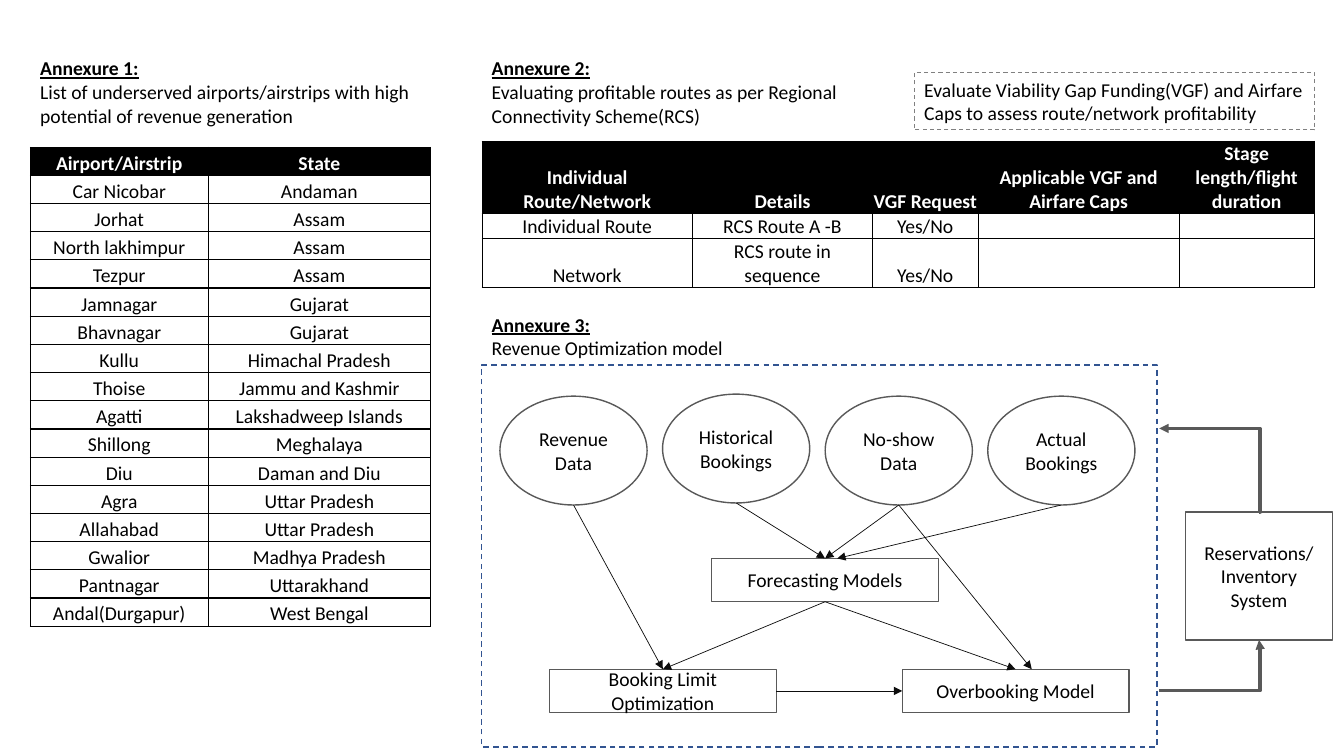
"""Build the annexure slide: airport list, route evaluation and revenue optimization model."""
from lxml import etree
from pptx import Presentation
from pptx.dml.color import RGBColor
from pptx.enum.dml import MSO_LINE
from pptx.enum.shapes import MSO_CONNECTOR, MSO_SHAPE
from pptx.enum.text import MSO_ANCHOR, MSO_AUTO_SIZE, PP_ALIGN
from pptx.oxml.ns import qn
from pptx.util import Inches, Pt

RECT, OVAL = MSO_SHAPE.RECTANGLE, MSO_SHAPE.OVAL
STRAIGHT, ELBOW = MSO_CONNECTOR.STRAIGHT, MSO_CONNECTOR.ELBOW
LEFT, CENTER = PP_ALIGN.LEFT, PP_ALIGN.CENTER
TOP, MIDDLE, BOTTOM = MSO_ANCHOR.TOP, MSO_ANCHOR.MIDDLE, MSO_ANCHOR.BOTTOM
FIT, DASH = MSO_AUTO_SIZE.SHAPE_TO_FIT_TEXT, MSO_LINE.DASH
FONT, SIZE = "Calibri", 14
BLACK, WHITE, GRAY, NOTE_GRAY = "000000", "FFFFFF", "595959", "808080"
BLUE, ARROW = "325491", "0D0D0D"
WIDTH, HEIGHT = Inches(13.333), Inches(7.5)

# Places and sizes are percentages of the slide's width and height.
AIRPORT_X, MODEL_X = 2.25, 35.85
HEADINGS = [
    ("Annexure 1:", "List of underserved airports/airstrips with high potential of revenue generation",
     (AIRPORT_X, 6.8, 29.78, 10.8)),
    ("Annexure 2:", "Evaluating profitable routes as per Regional Connectivity Scheme(RCS)",
     (MODEL_X, 6.8, 32.25, 10.8)),
    ("Annexure 3:", "Revenue Optimization model", (MODEL_X, 40.67, 28.65, 7.6)),
]
NOTE = "Evaluate Viability Gap Funding(VGF) and Airfare Caps to assess route/network profitability"
AIRPORTS = [
    ("Airport/Airstrip", "State"),
    ("Car Nicobar", "Andaman"),
    ("Jorhat", "Assam"),
    ("North lakhimpur", "Assam"),
    ("Tezpur", "Assam"),
    ("Jamnagar", "Gujarat"),
    ("Bhavnagar", "Gujarat"),
    ("Kullu", "Himachal Pradesh"),
    ("Thoise", "Jammu and Kashmir"),
    ("Agatti", "Lakshadweep Islands"),
    ("Shillong", "Meghalaya"),
    ("Diu", "Daman and Diu"),
    ("Agra", "Uttar Pradesh"),
    ("Allahabad", "Uttar Pradesh"),
    ("Gwalior", "Madhya Pradesh"),
    ("Pantnagar", "Uttarakhand"),
    ("Andal(Durgapur)", "West Bengal"),
]
ROUTES = [
    ("Individual Route/Network", "Details", "VGF Request",
     "Applicable VGF and Airfare Caps", "Stage length/flight duration"),
    ("Individual Route", "RCS Route A -B", "Yes/No", "", ""),
    ("Network", "RCS route in sequence", "Yes/No", "", ""),
]
SOURCES = [("Revenue Data", 52.4), ("Historical Bookings", 52.13),
           ("No-show Data", 52.4), ("Actual Bookings", 52.4)]
SOURCE_X, SOURCE_PITCH, SOURCE_SIZE = 37.2, 12.1, (10.95, 14.4)
MODELS = [("Forecasting Models", 52.95, 73.87),
          ("Booking Limit Optimization", 40.88, 88.53),
          ("Overbooking Model", 67.13, 88.53)]
MODEL_SIZE = (16.88, 5.73)
RESERVATIONS = "Reservations/ Inventory System"
FLOWS = [
    ("No-show Data", "Overbooking Model", 1.2),
    ("Historical Bookings", "Forecasting Models", 0),
    ("No-show Data", "Forecasting Models", 0),
    ("Actual Bookings", "Forecasting Models", 0.9),
    ("Revenue Data", "Booking Limit Optimization", 0),
    ("Forecasting Models", "Booking Limit Optimization", 0),
    ("Forecasting Models", "Overbooking Model", 0),
]
LOOP_X, RETURN_Y = 86.25, 56.67


def across(share):
    return round(WIDTH * share / 100)


def down(share):
    return round(HEIGHT * share / 100)


def place(x, y, w, h):
    return across(x), down(y), across(w), down(h)


def rgb(color):
    return RGBColor.from_string(color)


def write(paragraph, words, color=BLACK, bold=False, underline=False, align=LEFT):
    paragraph.alignment = align
    run = paragraph.add_run()
    run.text = words
    run.font.name, run.font.size = FONT, Pt(SIZE)
    run.font.bold, run.font.underline = bold, underline
    run.font.color.rgb = rgb(color)


def add_heading(title, detail, box):
    frame = slide.shapes.add_textbox(*place(*box)).text_frame
    frame.word_wrap, frame.auto_size = True, FIT
    write(frame.paragraphs[0], title, bold=True, underline=True)
    write(frame.add_paragraph(), detail)


def add_box(kind, box, words="", color=GRAY, weight=1, dash=None, align=CENTER, anchor=MIDDLE):
    shape = slide.shapes.add_shape(kind, *place(*box))
    shape.shadow.inherit = False
    shape.fill.background()
    shape.line.color.rgb, shape.line.width = rgb(color), Pt(weight)
    if dash:
        shape.line.dash_style = dash
    shape.text_frame.word_wrap = True
    shape.text_frame.vertical_anchor = anchor
    if words:
        write(shape.text_frame.paragraphs[0], words, align=align)
    return shape


def add_border(cell, position, side, weight):
    line = etree.Element(qn("a:ln" + side), w=str(Pt(weight)))
    fill = etree.SubElement(line, qn("a:solidFill"))
    etree.SubElement(fill, qn("a:srgbClr"), val=BLACK)
    cell._tc.get_or_add_tcPr().insert(position, line)


def add_grid(rows, x, y, columns, row_height):
    table = slide.shapes.add_table(
        len(rows), len(columns), *place(x, y, sum(columns), row_height * len(rows))).table
    table.first_row = table.horz_banding = False
    for column, share in zip(table.columns, columns):
        column.width = across(share)
    for r, row in enumerate(rows):
        table.rows[r].height = down(row_height)
        for c, words in enumerate(row):
            cell = table.cell(r, c)
            cell.margin_left = cell.margin_right = cell.margin_top = Inches(0.01)
            cell.margin_bottom = 0
            cell.vertical_anchor = BOTTOM
            cell.fill.solid()
            cell.fill.fore_color.rgb = rgb(WHITE if r else BLACK)
            paragraph = cell.text_frame.paragraphs[0]
            if words:
                write(paragraph, words, WHITE if r == 0 else BLACK, bold=r == 0, align=CENTER)
            else:
                etree.SubElement(paragraph._p, qn("a:endParaRPr"), sz=str(SIZE * 100))
            outer = (c == 0, c == len(columns) - 1, r == 0, r == len(rows) - 1)
            for position, (side, edge) in enumerate(zip("LRTB", outer)):
                add_border(cell, position, side, 0.5 if edge else 1)


def add_arrow(kind, start, end, color=ARROW, weight=0.5, tip="tailEnd"):
    arrow = slide.shapes.add_connector(kind, *start, *end)
    arrow.line.color.rgb, arrow.line.width = rgb(color), Pt(weight)
    etree.SubElement(arrow.line._get_or_add_ln(), qn("a:" + tip), type="triangle")
    etree.SubElement(arrow.element.spPr, qn("a:effectLst"))
    return arrow


def add_loop(y, end, tip):
    arrow = add_arrow(ELBOW, (across(LOOP_X), y), end, GRAY, 2.25, tip)
    guides = arrow.element.spPr.find(qn("a:prstGeom")).find(qn("a:avLst"))
    etree.SubElement(guides, qn("a:gd"), name="adj1", fmla="val 101100")


def middle(shape):
    return shape.left + shape.width // 2


def bottom(shape):
    return shape.top + shape.height


prs = Presentation()
prs.slide_width, prs.slide_height = WIDTH, HEIGHT
slide = prs.slides.add_slide(prs.slide_layouts[6])

add_grid(AIRPORTS, AIRPORT_X, 19.47, (13.25, 16.53), 3.73)
add_grid(ROUTES, MODEL_X, 18.67, (15.69, 13.37, 7.88, 14.95, 10.06), 2.8)
for heading in HEADINGS:
    add_heading(*heading)
add_box(RECT, (68.03, 9.6, 29.78, 7.6), NOTE, NOTE_GRAY, 0.75, DASH, LEFT, TOP)

add_box(RECT, (MODEL_X, 48.27, 50.25, 50.53), color=BLUE, dash=DASH)
reservations = add_box(RECT, (88.2, 67.73, 10.95, 16.93), RESERVATIONS)
nodes = {}
for i, (name, y) in enumerate(SOURCES):
    nodes[name] = add_box(OVAL, (SOURCE_X + i * SOURCE_PITCH, y, *SOURCE_SIZE), name)
for name, x, y in MODELS:
    nodes[name] = add_box(RECT, (x, y, *MODEL_SIZE), name)

for origin, target, shift in FLOWS:
    giver, taker = nodes[origin], nodes[target]
    flow = add_arrow(STRAIGHT, (middle(giver), bottom(giver)),
                     (middle(taker) + across(shift), taker.top))
    if giver.auto_shape_type == RECT:
        flow.begin_connect(giver, 2)
    if not shift:
        flow.end_connect(taker, 0)

limits, overbooking = nodes["Booking Limit Optimization"], nodes["Overbooking Model"]
level = overbooking.top + overbooking.height // 2
handover = add_arrow(STRAIGHT, (limits.left + limits.width, level), (overbooking.left, level))
handover.begin_connect(limits, 3)
handover.end_connect(overbooking, 1)
add_loop(level, (middle(reservations), bottom(reservations)), "tailEnd")
add_loop(down(RETURN_Y), (middle(reservations), reservations.top), "headEnd")

prs.save("out.pptx")
